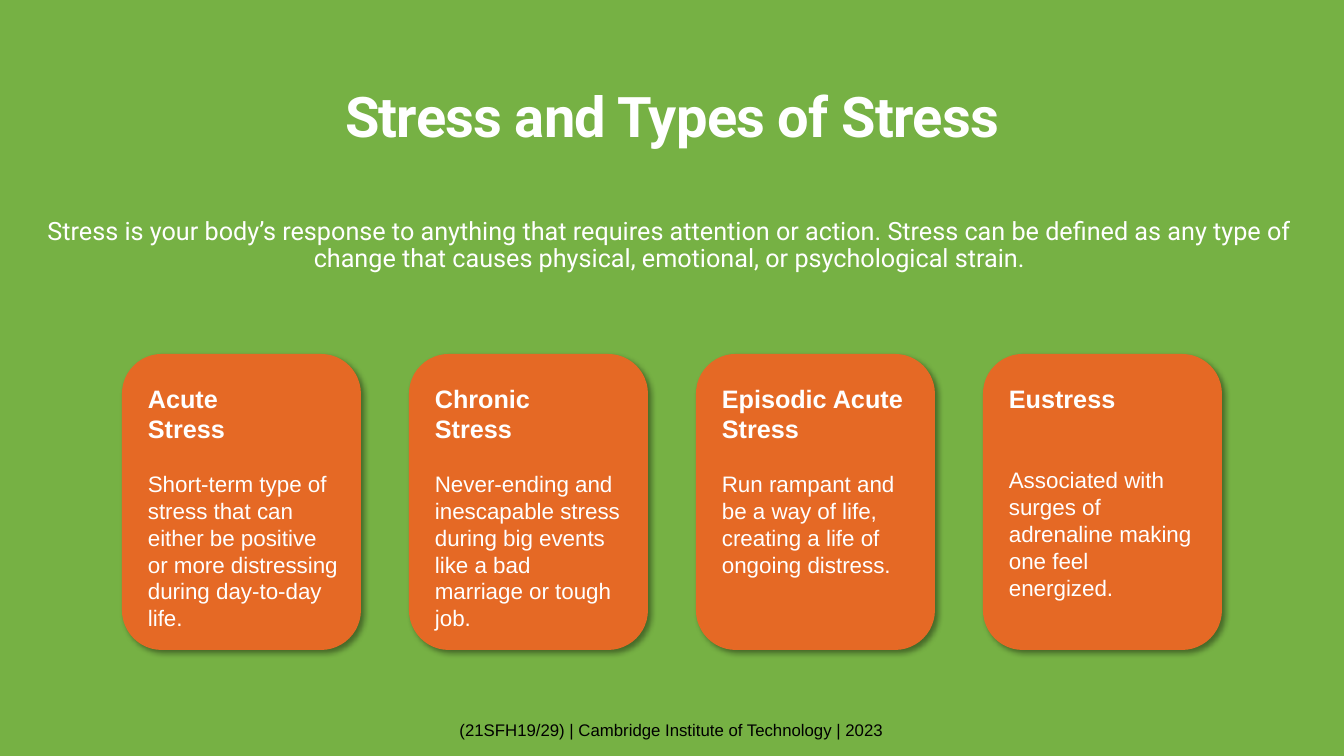
from lxml import etree
from pptx import Presentation
from pptx import util as u
from pptx.dml.color import RGBColor
from pptx.enum import shapes, text
from pptx.oxml import parse_xml
from pptx.oxml.ns import qn

PX = 9071
WHITE, GREEN, ORANGE = "FFFFFF", "76B144", "E56925"
SHADOW = (
    '<a:effectLst xmlns:a="http://schemas.openxmlformats.org/drawingml/2006/main">'
    '<a:outerShdw blurRad="50800" dist="38100" dir="2700000" algn="tl" rotWithShape="0">'
    '<a:srgbClr val="000000"><a:alpha val="40000"/></a:srgbClr>'
    '</a:outerShdw></a:effectLst>'
)


def px(*lengths):
    return [u.Emu(length * PX) for length in lengths]


def style(paragraph, font_name, size, color, bold=False, align=text.PP_ALIGN.LEFT):
    paragraph.alignment = align
    for run in paragraph.runs:
        run.font.name = font_name
        run.font.size = u.Pt(size)
        run.font.bold = bold
        run.font.color.rgb = RGBColor.from_string(color)


prs = Presentation()
prs.slide_width, prs.slide_height = px(1344, 756)
slide = prs.slides.add_slide(prs.slide_layouts[5])
slide.background.fill.solid()
slide.background.fill.fore_color.rgb = RGBColor.from_string(GREEN)

title = slide.shapes.title
title.left, title.top, title.width, title.height = px(168, 82, 1008, 67)
definition = slide.shapes.add_textbox(*px(43, 219, 1253, 169))
for heading in (title, definition):
    frame = heading.text_frame
    frame.word_wrap = True
    frame.margin_left = frame.margin_top = frame.margin_right = frame.margin_bottom = 0

title.text_frame.text = "Stress and Types of Stress"
title.text_frame.vertical_anchor = text.MSO_ANCHOR.BOTTOM
title_line = title.text_frame.paragraphs[0]
style(title_line, "Roboto", 40, WHITE, True, text.PP_ALIGN.CENTER)
title_line.runs[0].font._element.set("spc", "-50")

definition.text_frame.text = (
    "Stress is your body’s response to anything that requires attention or action. "
    "Stress can be defined as any type of change that causes physical, emotional, "
    "or psychological strain."
)
definition_line = definition.text_frame.paragraphs[0]
definition_line.line_spacing = 0.9
style(definition_line, "Roboto", 18, WHITE, align=text.PP_ALIGN.CENTER)

footer = slide.shapes.add_textbox(*px(336, 715, 671, 30))
footer.text_frame.word_wrap = True
footer.text_frame.text = "(21SFH19/29) | Cambridge Institute of Technology | 2023"
style(footer.text_frame.paragraphs[0], "Arial", 12, "000000", align=text.PP_ALIGN.CENTER)

stress_types = [
    (["Acute", "Stress"], 212, 19,
     "Short-term type of stress that can either be positive or more distressing "
     "during day-to-day life."),
    (["Chronic", "Stress"], 207, 19,
     "Never-ending and inescapable stress during big events like a bad marriage or tough job."),
    (["Episodic Acute Stress"], 207, 19,
     "Run rampant and be a way of life, creating a life of ongoing distress."),
    (["Eustress"], 207, 38,
     "Associated with surges of adrenaline making one feel energized."),
]

for column, (names, width, gap, description) in enumerate(stress_types):
    left = 122 + column * 287
    card = slide.shapes.add_shape(
        shapes.MSO_SHAPE.ROUNDED_RECTANGLE, *px(left, 354, 239, 296))
    card.fill.solid()
    card.fill.fore_color.rgb = RGBColor.from_string(ORANGE)
    card.line.fill.background()
    card_properties = card.fill._xPr
    card_properties.append(parse_xml(SHADOW))

    label = slide.shapes.add_textbox(*px(left + 16, 378, width, 261))
    label.text_frame.word_wrap = True
    label.text_frame.text = "\n".join(names + [description])
    *name_lines, description_line = label.text_frame.paragraphs
    for name_line in name_lines:
        style(name_line, "Arial", 18, WHITE, True)
    style(description_line, "Arial", 16, WHITE)
    description_line.space_before = u.Pt(gap)

prs.save("out.pptx")
